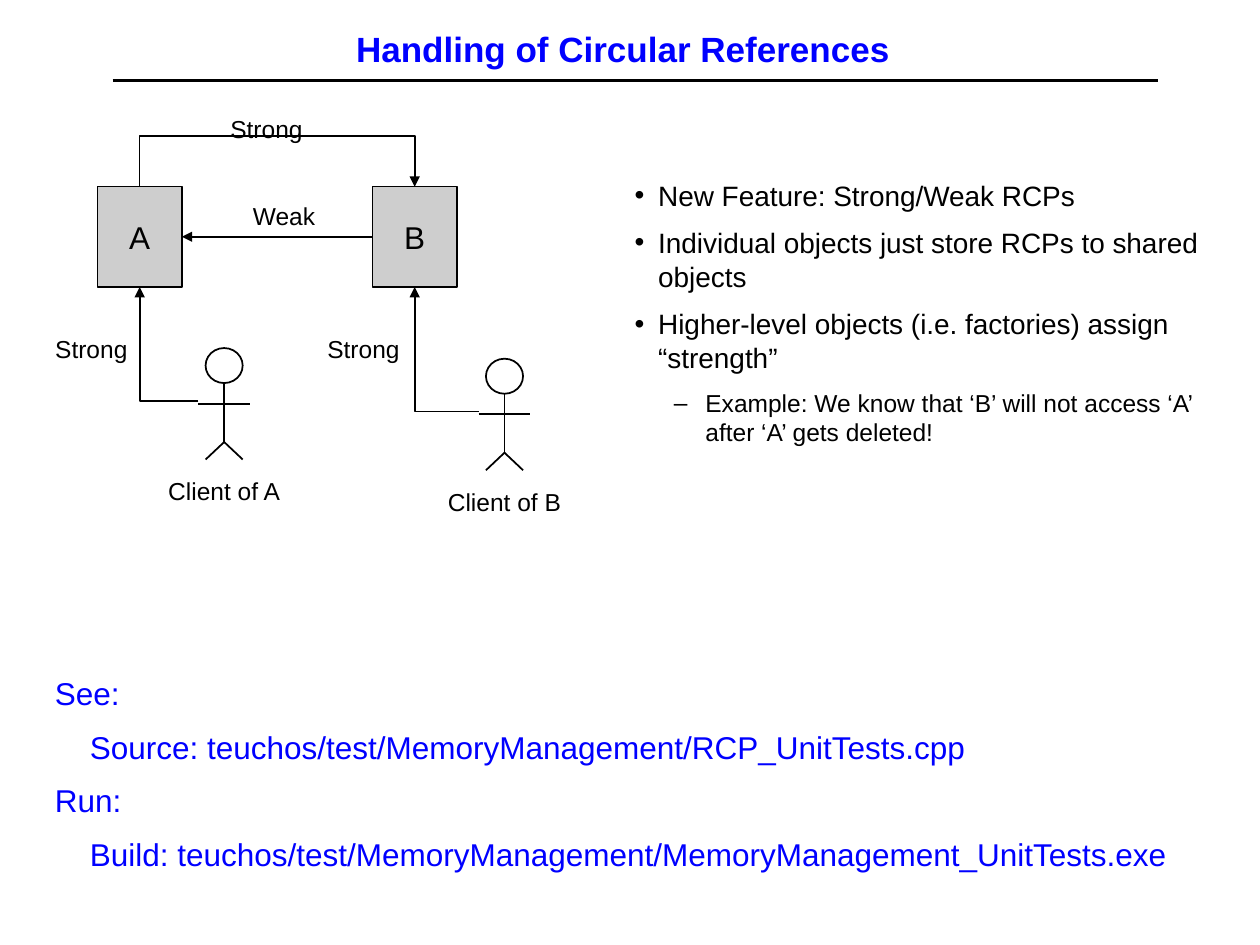
from lxml import etree
from pptx import Presentation
from pptx.dml.color import RGBColor
from pptx.enum.shapes import MSO_CONNECTOR, MSO_SHAPE
from pptx.enum.text import MSO_ANCHOR, MSO_AUTO_SIZE, PP_ALIGN
from pptx.oxml.ns import qn
from pptx.util import Pt

STRAIGHT, ELBOW = MSO_CONNECTOR.STRAIGHT, MSO_CONNECTOR.ELBOW
RECT, OVAL = MSO_SHAPE.RECTANGLE, MSO_SHAPE.OVAL
LEFT, CENTER = PP_ALIGN.LEFT, PP_ALIGN.CENTER
TOP, MIDDLE = MSO_ANCHOR.TOP, MSO_ANCHOR.MIDDLE
BLACK, BLUE, GRAY = "000000", "0000FF", "CECECE"

# Content
TITLE = "Handling of Circular References"
NODES = [("A", 55.7), ("B", 212.9)]                      # name, left
CLIENTS = [("Client of A", 128.1, 198.9), ("Client of B", 288.3, 205)]  # name, middle, top
LABELS = [("Strong", 152.3, 61.4), ("Weak", 162.3, 111.4),
          ("Strong", 52.2, 187.2), ("Strong", 207.7, 187.2)]  # name, middle, top
LABEL_W = 60
POINTS = [
    (0, "New Feature: Strong/Weak RCPs"),
    (0, "Individual objects just store RCPs to shared objects"),
    (0, "Higher-level objects (i.e. factories) assign “strength”"),
    (1, "Example: We know that ‘B’ will not access ‘A’ after ‘A’ gets deleted!"),
]
LEVELS = [("•", 27, 13.5, 16, 8), ("–", 54, 18, 14, 7)]  # mark, left, hang, size, after
FILES = [
    (0, "See:"),
    (20, "Source: teuchos/test/MemoryManagement/RCP_UnitTests.cpp"),
    (0, "Run:"),
    (20, "Build: teuchos/test/MemoryManagement/MemoryManagement_UnitTests.exe"),
]
NODE_TOP, NODE_W, NODE_H = 106.6, 48.2, 57.4


def color(code):
    return RGBColor.from_string(code)


def write(para, text, size, ink=BLACK, align=CENTER, bold=False):
    para.alignment = align
    run = para.add_run()
    run.text = text
    font = run.font
    font.name, font.size, font.bold = "Arial", Pt(size), bold
    font.color.rgb = color(ink)


def box(left, top, width, height, wrap=True):
    frame = slide.shapes.add_textbox(Pt(left), Pt(top), Pt(width), Pt(height)).text_frame
    frame.word_wrap = wrap
    frame.vertical_anchor = TOP
    return frame


def lines(frame, items):
    for i, item in enumerate(items):
        yield frame.paragraphs[0] if i == 0 else frame.add_paragraph(), item


def indent(para, left, hang=0, mark=None):
    props = para._p.get_or_add_pPr()
    props.set("marL", str(Pt(left)))
    props.set("indent", str(-Pt(hang)))
    if mark:
        etree.SubElement(props, qn("a:buFont"), typeface="Arial")
        etree.SubElement(props, qn("a:buChar"), char=mark)


def shape(home, kind, left, top, width, height, fill=None):
    item = home.add_shape(kind, Pt(left), Pt(top), Pt(width), Pt(height))
    item.shadow.inherit = False
    item.line.color.rgb, item.line.width = color(BLACK), Pt(1)
    if fill:
        item.fill.solid()
        item.fill.fore_color.rgb = color(fill)
    else:
        item.fill.background()
    return item


def link(home, x1, y1, x2, y2, kind=STRAIGHT, width=1, arrow=False):
    item = home.add_connector(kind, Pt(x1), Pt(y1), Pt(x2), Pt(y2))
    item.line.color.rgb, item.line.width = color(BLACK), Pt(width)
    if arrow:
        etree.SubElement(item.line._get_or_add_ln(), qn("a:tailEnd"), type="triangle")
    etree.SubElement(item._element.spPr, qn("a:effectLst"))
    return item


def bend(left, top, width, height, turn, preset, flip=False, adjust=None):
    item = link(slide.shapes, left, top, left + width, top + height, ELBOW, arrow=True)
    props = item._element.spPr
    frame = props.find(qn("a:xfrm"))
    frame.set("rot", str(turn * 60000))
    if flip:
        frame.set("flipH", "1")
    geom = props.find(qn("a:prstGeom"))
    geom.set("prst", preset)
    if adjust is not None:
        guides = geom.find(qn("a:avLst"))
        etree.SubElement(guides, qn("a:gd"), name="adj1", fmla=f"val {adjust}")


deck = Presentation()
deck.slide_width, deck.slide_height = Pt(720), Pt(540)
slide = deck.slides.add_slide(deck.slide_layouts[5])
shapes = slide.shapes

# Title and rule
title = shapes.title
title.left, title.top, title.width, title.height = Pt(50), Pt(10.1), Pt(612), Pt(35.3)
title.text_frame.auto_size = MSO_AUTO_SIZE.NONE
title.text_frame.vertical_anchor = MIDDLE
write(title.text_frame.paragraphs[0], TITLE, 20, BLUE, bold=True)
link(shapes, 64.4, 46.1, 661.7, 46.1, width=2)

# Objects A and B
nodes, mids = [], []
for name, left in NODES:
    node = shape(shapes, RECT, left, NODE_TOP, NODE_W, NODE_H, GRAY)
    node.text_frame.vertical_anchor = MIDDLE
    write(node.text_frame.paragraphs[0], name, 18)
    nodes.append(node)
    mids.append(left + NODE_W / 2)

# Weak link from B to A
weak = link(shapes, NODES[1][1], 135.3, NODES[0][1] + NODE_W, 135.3, arrow=True)
weak.begin_connect(nodes[1], 1)
weak.end_connect(nodes[0], 3)

# Strong link from A over to B: a thin box turned on its side
gap, thin, rise = mids[1] - mids[0], 0.2, 28.8
bend(sum(mids) / 2 - thin / 2, NODE_TOP - gap / 2, thin, gap, 270,
     "bentConnector3", True, round(-rise / thin * 100000))

# Clients, each with a strong link to its object
foot = NODE_TOP + NODE_H
for (name, mid, top), goal in zip(CLIENTS, mids):
    man = shapes.add_group_shape().shapes
    neck, arm, hip, toe = top + 20, top + 31.8, top + 53.7, top + 63.7
    shape(man, OVAL, mid - 10.6, top, 21.2, 20)
    link(man, mid, neck, mid, hip)
    link(man, mid - 14.8, arm, mid + 14.8, arm)
    for side in (-1, 1):
        link(man, mid, hip, mid + side * 10.6, toe)
    bend(goal, foot, mid - 14.8 - goal, top + 30.2 - foot, 180, "bentConnector2")
    write(box(mid - 60.5, top + 69.5, 121, 24.2).paragraphs[0], name, 14)

# Link labels
for name, mid, top in LABELS:
    write(box(mid - LABEL_W / 2, top, LABEL_W, 24.2, False).paragraphs[0], name, 14)

# Files to see and run
for para, (left, text) in lines(box(24.3, 381.8, 655, 121, False), FILES):
    indent(para, left)
    para.space_after = Pt(9)
    write(para, text, 18, BLUE, LEFT)

# Bullet points
for para, (level, text) in lines(box(342, 98.2, 368.6, 160.6), POINTS):
    mark, left, hang, size, after = LEVELS[level]
    para.level = level
    indent(para, left, hang, mark)
    para.space_after = Pt(after)
    write(para, text, size, align=LEFT)

deck.save("out.pptx")
